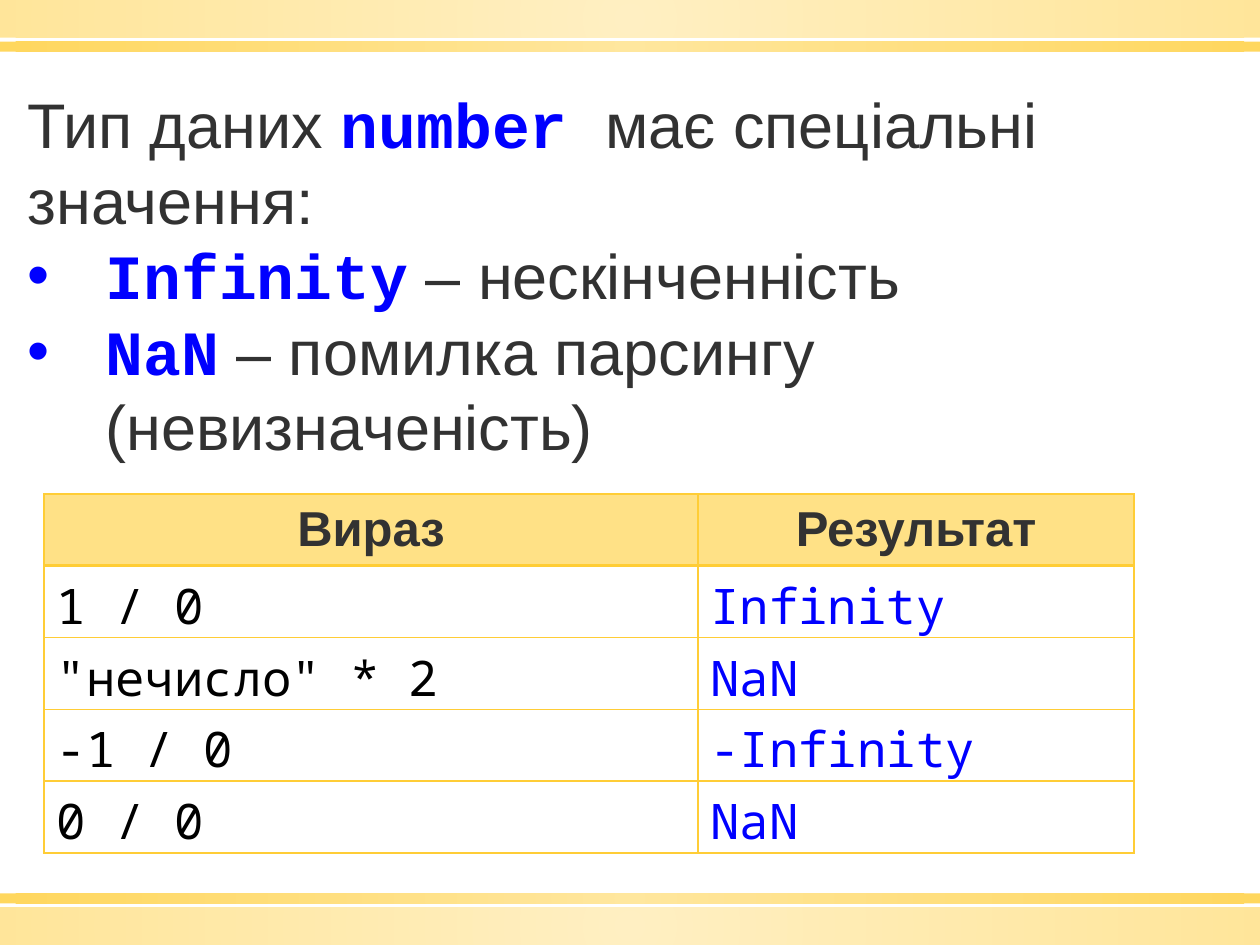
import lxml.etree
import pptx
import pptx.dml.color
import pptx.enum.shapes
import pptx.enum.text
import pptx.oxml
import pptx.oxml.ns
import pptx.util

RGBColor = pptx.dml.color.RGBColor
Inches = pptx.util.Inches
qn = pptx.oxml.ns.qn

PALE = RGBColor(0xFF, 0xE1, 0x86)
GOLD = RGBColor(0xFF, 0xCD, 0x36)
DARK = RGBColor(0x32, 0x32, 0x32)
BLUE = RGBColor(0x00, 0x00, 0xFF)
BLACK = RGBColor(0x00, 0x00, 0x00)
WHITE = RGBColor(0xFF, 0xFF, 0xFF)

WIDTH, HEIGHT = 10, 7.5
BANDS = ((0, 0.3, 50), (0.33, 0.08, 80))
ROW_HEIGHT = 0.57
COLUMN_WIDTHS = (5.19, 3.46)
HEADINGS = ("Вираз", "Результат")
EXPRESSIONS = (
    ("1 / 0", "Infinity"),
    ('"нечисло" * 2', "NaN"),
    ("-1 / 0", "-Infinity"),
    ("0 / 0", "NaN"),
)
STATEMENTS = (
    (False, (("Тип даних ", False), ("number ", True), ("має спеціальні значення:", False))),
    (True, (("Infinity", True), (" – нескінченність", False))),
    (True, (("NaN", True), (" – помилка парсингу (невизначеність)", False))),
)


def add_span(para, text, size, font, color, bold=False):
    """Append one formatted run to a paragraph."""
    span = para.add_run()
    span.text = text
    span.font.size = pptx.util.Pt(size)
    span.font.name = font
    span.font.bold = bold
    span.font.color.rgb = color
    for tag in ("a:ea", "a:cs"):
        lxml.etree.SubElement(span.font._element, qn(tag), typeface=font)


def radial_fill(alpha):
    """Return a translucent gradient that runs from the centre outwards."""
    stops = "".join(
        f'<a:gs pos="{position}"><a:srgbClr val="{color}">'
        f'<a:alpha val="{alpha * 1000}"/></a:srgbClr></a:gs>'
        for position, color in ((0, PALE), (100000, GOLD))
    )
    return pptx.oxml.parse_xml(
        f'<a:gradFill {pptx.oxml.ns.nsdecls("a")} rotWithShape="1"><a:gsLst>{stops}</a:gsLst>'
        '<a:path path="circle"><a:fillToRect l="50000" t="50000" r="50000" b="50000"/>'
        "</a:path></a:gradFill>"
    )


def add_band(page, top, height, alpha):
    """Draw one full-width gradient band."""
    band = page.shapes.add_shape(
        pptx.enum.shapes.MSO_SHAPE.RECTANGLE, 0, Inches(top), Inches(WIDTH), Inches(height)
    )
    band.shadow.inherit = False
    band.line.fill.background()
    band.fill.background()
    properties = band._element.spPr
    properties.replace(properties.find(qn("a:noFill")), radial_fill(alpha))


def add_bullet(para):
    """Give a paragraph a round bullet and a hanging indent."""
    properties = para._p.get_or_add_pPr()
    indent = Inches(0.62)
    properties.set("marL", str(indent))
    properties.set("indent", str(-indent))
    lxml.etree.SubElement(properties, qn("a:buFont"), typeface="Arial")
    lxml.etree.SubElement(properties, qn("a:buChar"), char="•")


def add_statements(page):
    """Write the introduction and its bulleted special values."""
    box = page.shapes.add_textbox(Inches(0.12), Inches(0.63), Inches(9.88), Inches(3.11))
    frame = box.text_frame
    frame.word_wrap = True
    frame.auto_size = pptx.enum.text.MSO_AUTO_SIZE.SHAPE_TO_FIT_TEXT
    for index, (bulleted, spans) in enumerate(STATEMENTS):
        para = frame.add_paragraph() if index else frame.paragraphs[0]
        if bulleted:
            add_bullet(para)
        for text, is_code in spans:
            font, color = ("Courier New", BLUE) if is_code else ("Arial", DARK)
            add_span(para, text, 36, font, color, is_code)


def set_borders(cell, top, bottom):
    """Outline a cell, with the top and bottom widths in points."""
    widths = {"lnL": 1, "lnR": 1, "lnT": top, "lnB": bottom}
    properties = cell._tc.get_or_add_tcPr()
    for position, (tag, width) in enumerate(widths.items()):
        border = pptx.oxml.parse_xml(
            f'<a:{tag} {pptx.oxml.ns.nsdecls("a")} w="{pptx.util.Pt(width)}">'
            f'<a:solidFill><a:srgbClr val="{GOLD}"/></a:solidFill></a:{tag}>'
        )
        properties.insert(position, border)


def fill_cell(cell, row, column, text):
    """Write and format one cell of the table."""
    header = row == 0
    set_borders(cell, 2 if row == 1 else 1, 2 if header else 1)
    cell.fill.solid()
    cell.fill.fore_color.rgb = PALE if header else WHITE
    para = cell.text_frame.paragraphs[0]
    if header:
        cell.vertical_anchor = pptx.enum.text.MSO_ANCHOR.MIDDLE
        para.alignment = pptx.enum.text.PP_ALIGN.CENTER
        add_span(para, text, 28, "Arial", DARK, True)
    else:
        add_span(para, text, 28, "Noto Sans Mono", BLUE if column else BLACK)


def add_expressions(page):
    """Build the table of expressions and results."""
    rows = (HEADINGS, *EXPRESSIONS)
    table = page.shapes.add_table(
        len(rows), len(HEADINGS), Inches(0.35), Inches(3.92),
        Inches(sum(COLUMN_WIDTHS)), Inches(ROW_HEIGHT * len(rows)),
    ).table
    table.horz_banding = False
    for column, width in zip(table.columns, COLUMN_WIDTHS):
        column.width = Inches(width)
    for row, texts in enumerate(rows):
        table.rows[row].height = Inches(ROW_HEIGHT)
        for column, text in enumerate(texts):
            fill_cell(table.cell(row, column), row, column, text)


def main():
    """Build and save the slide."""
    deck = pptx.Presentation()
    deck.slide_width, deck.slide_height = Inches(WIDTH), Inches(HEIGHT)
    page = deck.slides.add_slide(deck.slide_layouts[6])
    for top, height, alpha in BANDS:
        add_band(page, HEIGHT - top - height, height, alpha)
        add_band(page, top, height, alpha)
    add_statements(page)
    add_expressions(page)
    deck.save("out.pptx")


main()
